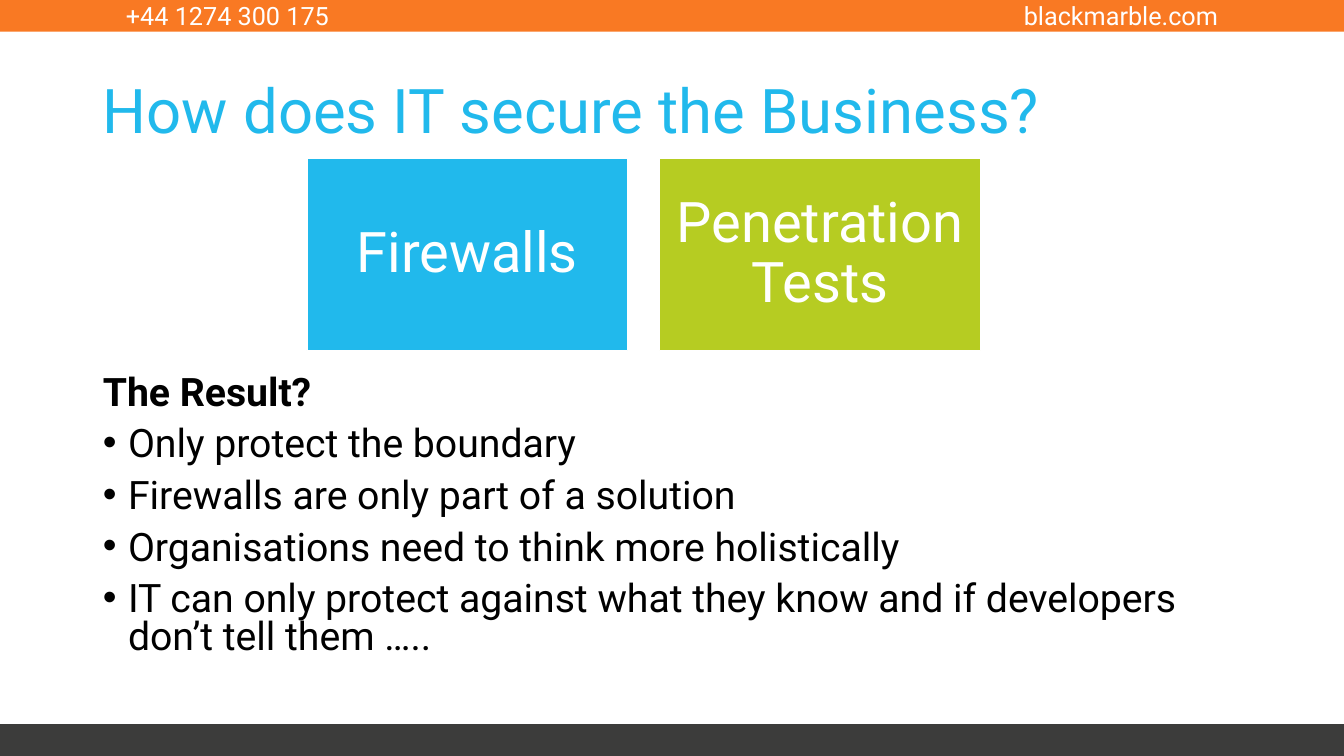
import pptx
import pptx.util
import pptx.dml.color
import pptx.enum.shapes
import pptx.enum.text
import pptx.oxml
import pptx.oxml.ns

Align = pptx.enum.text.PP_ALIGN
Anchor = pptx.enum.text.MSO_ANCHOR
Fit = pptx.enum.text.MSO_AUTO_SIZE
RECTANGLE = pptx.enum.shapes.MSO_SHAPE.RECTANGLE

THEME = {
    "font": "Roboto",
    "colors": {
        "orange": "F97923", "charcoal": "3C3C3B", "blue": "21B9EC",
        "green": "B6CC22", "white": "FFFFFF", "black": "000000",
    },
    "sizes": {"contact": 18, "title": 44, "tile": 40, "body": 28},
}

deck = pptx.Presentation()
deck.slide_width = pptx.util.Inches(13.33)
deck.slide_height = pptx.util.Inches(7.5)
page = deck.slides.add_slide(deck.slide_layouts[1])


def share(left, top, width, height):
    """Turn percentages of the slide's width and height into lengths."""
    sides = (deck.slide_width, deck.slide_height) * 2
    return [round(side * part / 100) for side, part in zip(sides, (left, top, width, height))]


def write(para, text, size, color, bold=False, **paragraph_format):
    for name, value in paragraph_format.items():
        setattr(para, name, value)
    span = para.add_run()
    span.text = text
    font_format = {
        "name": THEME["font"],
        "size": pptx.util.Pt(THEME["sizes"][size]),
        "bold": bold,
    }
    for name, value in font_format.items():
        setattr(span.font, name, value)
    span.font.color.rgb = pptx.dml.color.RGBColor.from_string(THEME["colors"][color])


# Header and footer bars, then the two tiles
BAR_HEIGHT = 4.2
TILE_LEFT, TILE_STEP = 22.83, 26.25
blocks = [
    ("orange", (0, 0, 100, BAR_HEIGHT), None),
    ("charcoal", (0, 100 - BAR_HEIGHT, 100, BAR_HEIGHT), None),
]
for column, (color, label) in enumerate([("blue", "Firewalls"), ("green", "Penetration Tests")]):
    blocks.append((color, (TILE_LEFT + column * TILE_STEP, 20.93, 23.86, 25.47), label))

for color, area, label in blocks:
    box = page.shapes.add_shape(RECTANGLE, *share(*area))
    box.shadow.inherit = False
    box.fill.solid()
    box.fill.fore_color.rgb = pptx.dml.color.RGBColor.from_string(THEME["colors"][color])
    if label is None:
        box.line.fill.background()
        continue
    box.line.color.rgb = pptx.dml.color.RGBColor.from_string(THEME["colors"]["white"])
    box.line.width = pptx.util.Pt(1)
    frame = box.text_frame
    for side in ("left", "top", "right", "bottom"):
        setattr(frame, f"margin_{side}", pptx.util.Inches(0.1))
    frame.word_wrap = True
    frame.vertical_anchor = Anchor.MIDDLE
    write(frame.paragraphs[0], label, "tile", "white", alignment=Align.CENTER, line_spacing=0.9)

# Contact details in the header
for left, text, alignment in [
    (8.63, "+44 1274 300 175", Align.LEFT),
    (73.67, "blackmarble.com", Align.RIGHT),
]:
    box = page.shapes.add_textbox(*share(left, -0.67, 17.7, 5.33))
    box.text_frame.word_wrap = True
    write(box.text_frame.paragraphs[0], text, "contact", "white", alignment=alignment)

# Title and body placeholders
title, body = page.shapes.title, page.placeholders[1]
for holder, top, height, anchor in [
    (title, 5.33, 19.33, Anchor.MIDDLE),
    (body, 49.07, 41.07, Anchor.TOP),
]:
    holder.left, holder.top, holder.width, holder.height = share(6.9, top, 86.27, height)
    holder.text_frame.word_wrap = True
    holder.text_frame.auto_size = Fit.NONE
    holder.text_frame.vertical_anchor = anchor

write(title.text_frame.paragraphs[0], "How does IT secure the Business?", "title", "blue",
      alignment=Align.LEFT, line_spacing=0.9)

lines = [
    "The Result?",
    "Only protect the boundary",
    "Firewalls are only part of a solution",
    "Organisations need to think more holistically",
    "IT can only protect against what they know and if developers don’t tell them …..",
]
namespace = pptx.oxml.ns.nsdecls("a")
for index, text in enumerate(lines):
    heading = index == 0
    para = body.text_frame.paragraphs[0] if heading else body.text_frame.add_paragraph()
    properties = para._p.get_or_add_pPr()
    indent = 0 if heading else pptx.util.Inches(0.25)
    properties.set("marL", str(indent))
    properties.set("indent", str(-indent))
    if heading:
        bullets = ["<a:buNone {}/>"]
    else:
        bullets = ['<a:buFont {} typeface="Arial"/>', '<a:buChar {} char="•"/>']
    for bullet in bullets:
        properties.append(pptx.oxml.parse_xml(bullet.format(namespace)))
    write(para, text, "body", "black", bold=heading, line_spacing=0.8,
          space_before=pptx.util.Pt(0 if heading else 10))

deck.save("out.pptx")
